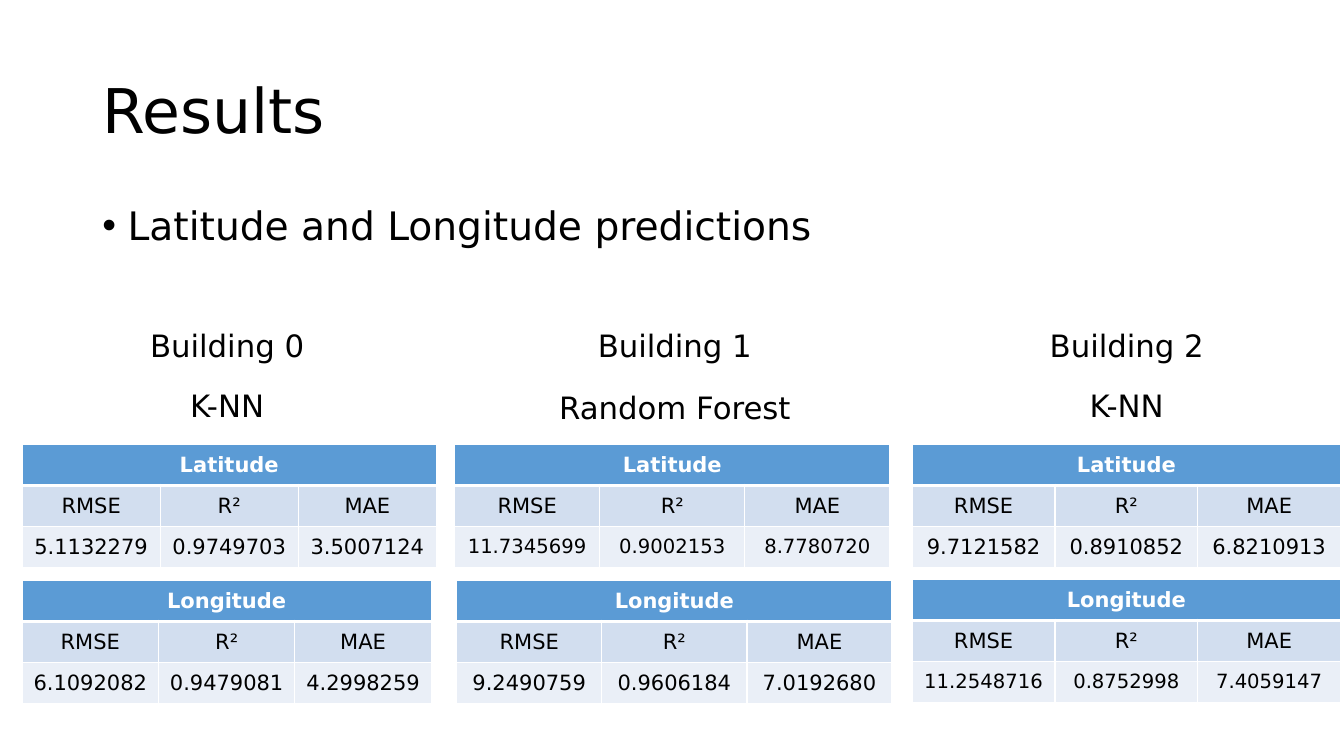
from dataclasses import dataclass

from lxml import etree
from pptx import Presentation
from pptx.dml.color import RGBColor
from pptx.enum.text import MSO_ANCHOR, MSO_AUTO_SIZE, PP_ALIGN
from pptx.oxml.ns import qn
from pptx.util import Pt

LEFT, CENTER = PP_ALIGN.LEFT, PP_ALIGN.CENTER
TOP, MIDDLE = MSO_ANCHOR.TOP, MSO_ANCHOR.MIDDLE
NO_AUTOFIT = MSO_AUTO_SIZE.NONE
GROW = MSO_AUTO_SIZE.SHAPE_TO_FIT_TEXT


@dataclass(frozen=True)
class Theme:
    font: str = "DejaVu Sans"
    ink: str = "000000"
    white: str = "FFFFFF"
    header_fill: str = "5B9BD5"
    metric_fill: str = "D2DEEF"
    value_fill: str = "EAEFF7"
    title_size: int = 44
    bullet_size: int = 28
    label_size: int = 22
    table_size: int = 15
    small_table_size: int = 14


THEME = Theme()
ROW_HEIGHT = 29.2
LABEL_HEIGHT = 33.84
BUILDING_TOP = 229.7
LATITUDE_TOP = 317.5
METRICS = ("RMSE", "R²", "MAE")


@dataclass(frozen=True)
class Scores:
    """One table of error scores; left, top and width are in points."""
    target: str
    left: float
    top: float
    width: float
    values: tuple
    size: int = THEME.table_size


@dataclass(frozen=True)
class Building:
    name: str
    model: str
    center: float
    model_top: float
    model_width: float
    tables: tuple


BUILDINGS = (
    Building("Building 0", "K-NN", 162.2, 272.9, 72, (
        Scores("Latitude", 15.8, LATITUDE_TOP, 296,
               ("5.1132279", "0.9749703", "3.5007124")),
        Scores("Longitude", 15.8, 414.7, 292.3,
               ("6.1092082", "0.9479081", "4.2998259")))),
    Building("Building 1", "Random Forest", 482, 274.3, 182, (
        Scores("Latitude", 324.7, LATITUDE_TOP, 311,
               ("11.7345699", "0.9002153", "8.7780720"),
               THEME.small_table_size),
        Scores("Longitude", 326.2, 414.7, 311,
               ("9.2490759", "0.9606184", "7.0192680")))),
    Building("Building 2", "K-NN", 804.8, 272.9, 72, (
        Scores("Latitude", 651.6, LATITUDE_TOP, 306,
               ("9.7121582", "0.8910852", "6.8210913")),
        Scores("Longitude", 651.6, 414, 306,
               ("11.2548716", "0.8752998", "7.4059147"),
               THEME.small_table_size))),
)


def write(text_frame, text, size, align, color=THEME.ink, bold=False):
    text_frame.text = text
    paragraph = text_frame.paragraphs[0]
    paragraph.alignment = align
    font = paragraph.runs[0].font
    font.name, font.size, font.bold = THEME.font, Pt(size), bold
    font.color.rgb = RGBColor.from_string(color)
    return paragraph


def fill_placeholder(placeholder, text, size, box, anchor):
    placeholder.left, placeholder.top, placeholder.width, placeholder.height = map(Pt, box)
    frame = placeholder.text_frame
    frame.auto_size, frame.vertical_anchor = NO_AUTOFIT, anchor
    paragraph = write(frame, text, size, LEFT)
    paragraph.line_spacing = 0.9
    return paragraph


def add_bullet(paragraph, indent):
    properties = paragraph._p.get_or_add_pPr()
    properties.set("marL", str(Pt(indent)))
    properties.set("indent", str(-Pt(indent)))
    etree.SubElement(properties, qn("a:buFont"), typeface="Arial")
    etree.SubElement(properties, qn("a:buChar"), char="•")


def add_label(slide, text, center, top, width):
    label = slide.shapes.add_textbox(
        Pt(center - width / 2), Pt(top), Pt(width), Pt(LABEL_HEIGHT))
    label.text_frame.word_wrap = False
    label.text_frame.auto_size = GROW
    write(label.text_frame, text, THEME.label_size, CENTER)


def set_borders(cell, top, bottom):
    """Draw white cell edges; the side edges are 1 pt wide."""
    properties = cell._tc.get_or_add_tcPr()
    for edge, width in (("lnL", 1), ("lnR", 1), ("lnT", top), ("lnB", bottom)):
        line = etree.SubElement(properties, qn(f"a:{edge}"), w=str(Pt(width)))
        solid = etree.SubElement(line, qn("a:solidFill"))
        etree.SubElement(solid, qn("a:srgbClr"), val=THEME.white)


def style_cell(cell, fill, top=1, bottom=1):
    set_borders(cell, top, bottom)
    cell.fill.solid()
    cell.fill.fore_color.rgb = RGBColor.from_string(fill)
    cell.vertical_anchor = MIDDLE


def add_scores(slide, scores):
    table = slide.shapes.add_table(
        3, len(METRICS), Pt(scores.left), Pt(scores.top),
        Pt(scores.width), Pt(3 * ROW_HEIGHT)).table
    for row in table.rows:
        row.height = Pt(ROW_HEIGHT)
    header = table.cell(0, 0)
    header.merge(table.cell(0, len(METRICS) - 1))
    write(header.text_frame, scores.target, THEME.table_size, CENTER, THEME.white, True)
    for column, (metric, value) in enumerate(zip(METRICS, scores.values)):
        style_cell(table.cell(0, column), THEME.header_fill, bottom=3)
        metric_cell, value_cell = table.cell(1, column), table.cell(2, column)
        style_cell(metric_cell, THEME.metric_fill, top=3)
        write(metric_cell.text_frame, metric, THEME.table_size, CENTER)
        style_cell(value_cell, THEME.value_fill)
        write(value_cell.text_frame, value, scores.size, CENTER)


def main():
    deck = Presentation()
    deck.slide_width, deck.slide_height = Pt(960), Pt(540)
    slide = deck.slides.add_slide(deck.slide_layouts[1])
    fill_placeholder(slide.shapes.title, "Results", THEME.title_size,
                     (66, 28.75, 828, 104.4), MIDDLE)
    topic = fill_placeholder(slide.placeholders[1], "Latitude and Longitude predictions",
                             THEME.bullet_size, (66, 143.75, 828, 59), TOP)
    topic.space_before = Pt(10)
    add_bullet(topic, 18)
    for building in BUILDINGS:
        add_label(slide, building.name, building.center, BUILDING_TOP, 126)
        add_label(slide, building.model, building.center,
                  building.model_top, building.model_width)
        for scores in building.tables:
            add_scores(slide, scores)
    deck.save("out.pptx")


if __name__ == "__main__":
    main()
